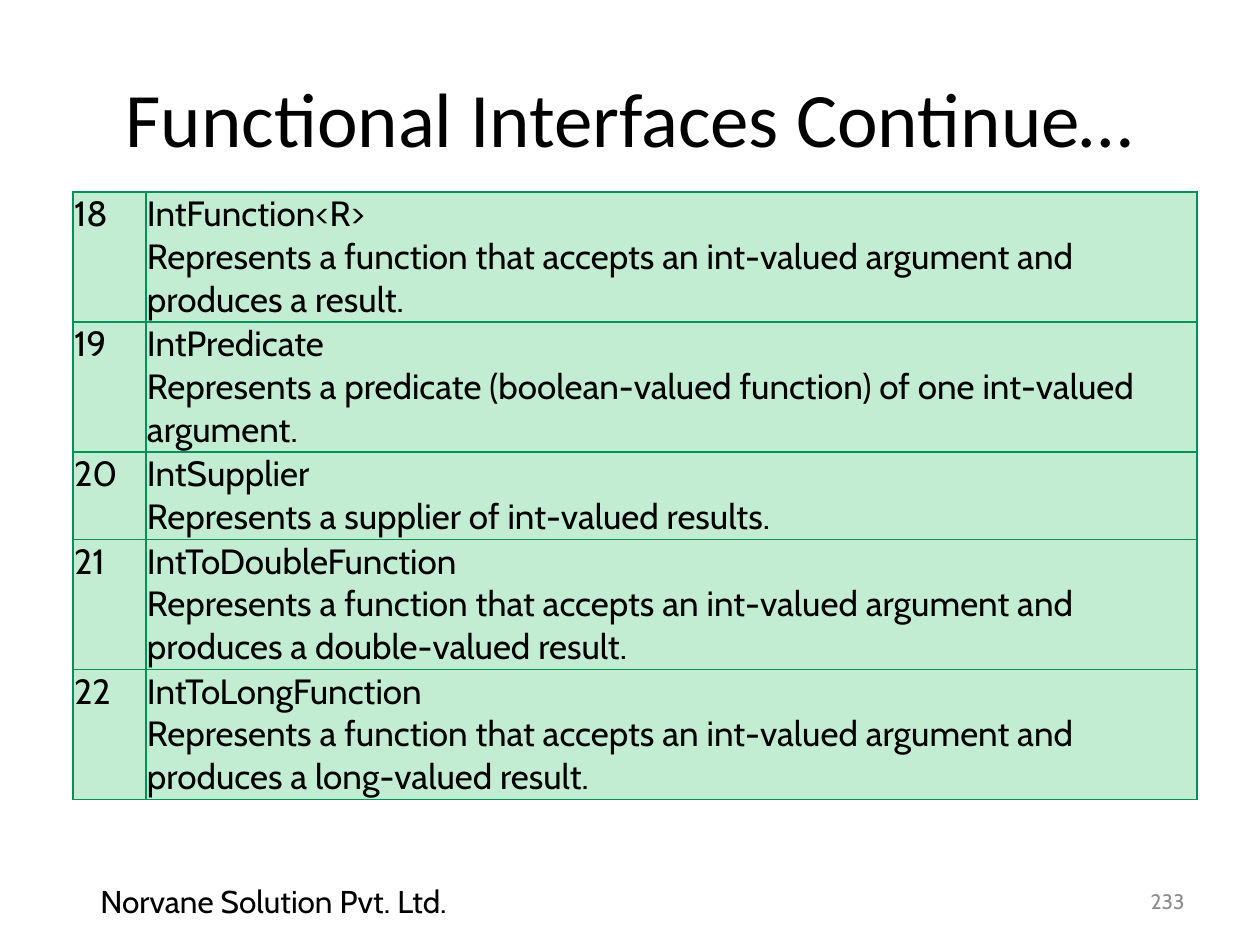
from lxml import etree
from pptx import Presentation
from pptx import util as u
from pptx.dml.color import RGBColor
from pptx.enum import text
from pptx.oxml import ns

BLACK = RGBColor(0x00, 0x00, 0x00)
GRAY = RGBColor(0x8C, 0x8C, 0x8C)
MINT = RGBColor(0xC2, 0xED, 0xD3)
GREEN = RGBColor(0x00, 0x91, 0x58)

INTERFACES = [
    ("18", "IntFunction<R>",
     "Represents a function that accepts an int-valued argument and produces a result.", 129),
    ("19", "IntPredicate",
     "Represents a predicate (boolean-valued function) of one int-valued argument.", 129),
    ("20", "IntSupplier",
     "Represents a supplier of int-valued results.", 87),
    ("21", "IntToDoubleFunction",
     "Represents a function that accepts an int-valued argument and produces a double-valued result.", 129),
    ("22", "IntToLongFunction",
     "Represents a function that accepts an int-valued argument and produces a long-valued result.", 129),
]
FOOTERS = [
    ("Norvane Solution Pvt. Ltd.", 88, 479, 18, BLACK, text.PP_ALIGN.LEFT),
    ("233", 1113, 84, 12, GRAY, text.PP_ALIGN.RIGHT),
]


def px(length):
    """Turn pixels, 126 to the inch, into EMU."""
    return u.Emu(round(length * 914400 / 126))


def add_run(paragraph, words, size, color, font="Cabin"):
    run = paragraph.add_run()
    run.text = words
    run.font.size = u.Pt(size)
    run.font.name = font
    run.font.color.rgb = color


presentation = Presentation()
presentation.slide_width = px(1260)
presentation.slide_height = px(945)
slide = presentation.slides.add_slide(presentation.slide_layouts[5])

title = slide.shapes.title
title.left, title.top, title.width, title.height = px(63), px(38), px(1134), px(158)
title.text_frame.vertical_anchor = text.MSO_ANCHOR.MIDDLE
paragraph = title.text_frame.paragraphs[0]
paragraph.alignment = text.PP_ALIGN.CENTER
add_run(paragraph, "Functional Interfaces Continue…", 44, BLACK, "Calibri")

table_height = sum(row[3] for row in INTERFACES)
table = slide.shapes.add_table(
    len(INTERFACES), 2, px(73), px(192), px(1124), px(table_height)).table
table.first_row = False
table.horz_banding = False
table.columns[0].width = px(73)
table.columns[1].width = px(1051)

for row, (number, name, description, height) in enumerate(INTERFACES):
    table.rows[row].height = px(height)
    for column, lines in enumerate([[number], [name, description]]):
        cell = table.cell(row, column)
        cell.margin_left = cell.margin_right = px(1)
        cell.margin_top = cell.margin_bottom = px(1)
        paragraph = cell.text_frame.paragraphs[0]
        for index, line in enumerate(lines):
            if index:
                paragraph.add_line_break()
            add_run(paragraph, line, 20, BLACK)

        properties = cell._tc.get_or_add_tcPr()
        for side in ("a:lnL", "a:lnR", "a:lnT", "a:lnB"):
            border = etree.SubElement(properties, ns.qn(side), w=str(u.Pt(0.75)))
            fill = etree.SubElement(border, ns.qn("a:solidFill"))
            etree.SubElement(fill, ns.qn("a:srgbClr"), val=str(GREEN))
        cell.fill.solid()
        cell.fill.fore_color.rgb = MINT

for words, left, width, size, color, alignment in FOOTERS:
    frame = slide.shapes.add_textbox(px(left), px(876), px(width), px(50)).text_frame
    frame.word_wrap = True
    frame.vertical_anchor = text.MSO_ANCHOR.MIDDLE
    frame.paragraphs[0].alignment = alignment
    add_run(frame.paragraphs[0], words, size, color)

presentation.save("out.pptx")
